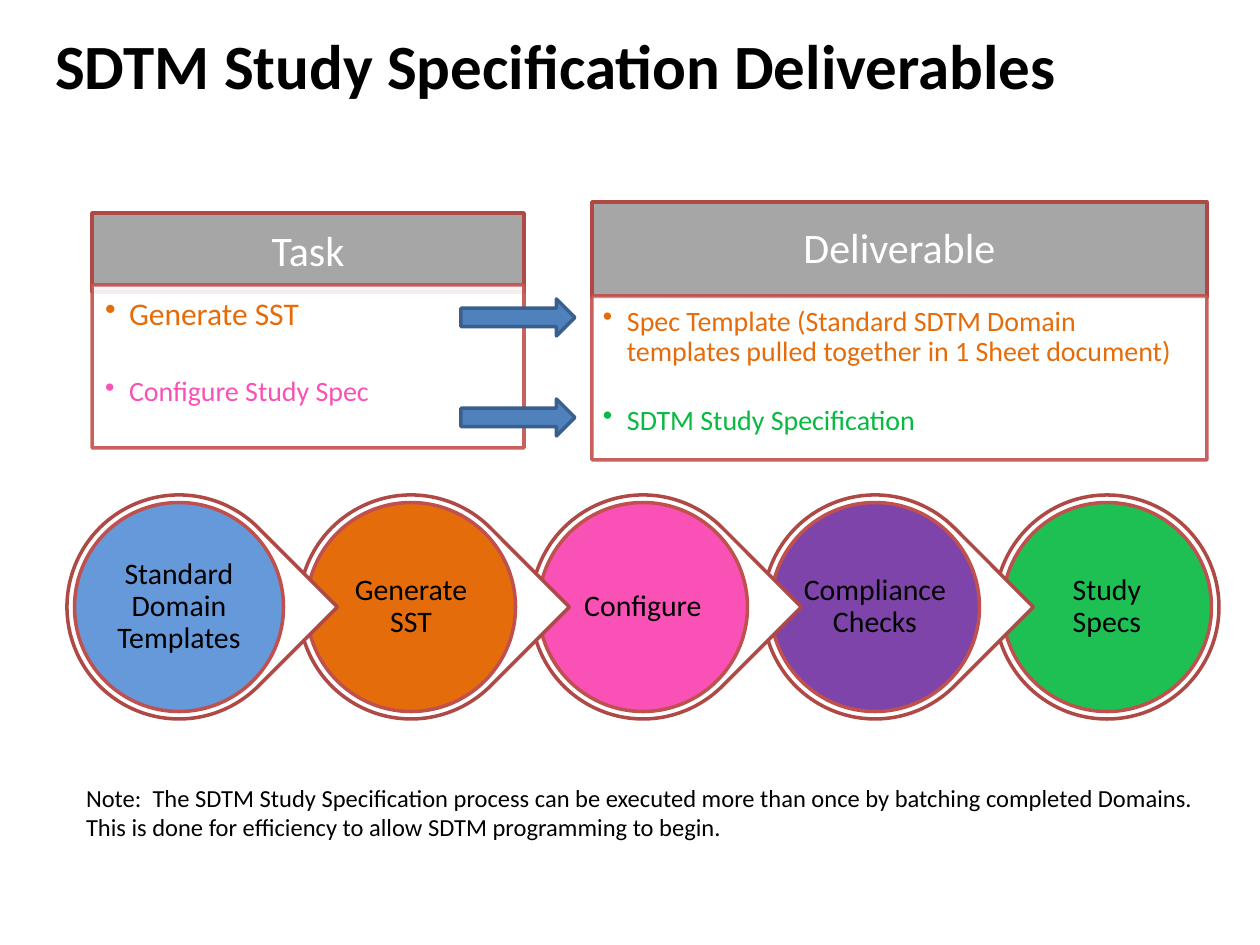
from dataclasses import dataclass

from lxml.etree import SubElement
from pptx import Presentation
from pptx.dml.color import RGBColor
from pptx.enum.shapes import MSO_SHAPE
from pptx.enum.text import MSO_ANCHOR, PP_ALIGN
from pptx.oxml.ns import qn
from pptx.util import Emu, Pt


@dataclass(frozen=True)
class Theme:
    font: str = "Calibri"
    black: str = "000000"
    white: str = "FFFFFF"
    header: str = "A6A6A6"
    frame: str = "AE4946"
    edge: str = "C0504D"
    arrow: str = "4F81BD"
    arrow_edge: str = "3A5F8C"
    blue: str = "558ED5"
    orange: str = "E46C0A"
    pink: str = "F951B5"
    purple: str = "7030A0"
    green: str = "06BA42"
    title_pt: int = 36
    header_pt: int = 24
    lead_pt: int = 18
    step_pt: int = 17
    item_pt: int = 16
    note_pt: int = 14
    line_pt: int = 2
    tight: float = 0.9


T = Theme()
EMU_PER_PX = 914400 / 126


def px(n):
    return Emu(round(n * EMU_PER_PX))


def set_alpha(fill, percent):
    color = fill._xPr.find(qn("a:solidFill"))[0]
    SubElement(color, qn("a:alpha")).set("val", str(percent * 1000))


def add_shape(s, kind, box, fill, line, alpha=100, line_alpha=100):
    sp = s.shapes.add_shape(kind, *map(px, box))
    sp.shadow.inherit = False
    sp.fill.solid()
    sp.fill.fore_color.rgb = RGBColor.from_string(fill)
    sp.line.color.rgb = RGBColor.from_string(line)
    sp.line.width = Pt(T.line_pt)
    if alpha < 100:
        set_alpha(sp.fill, alpha)
    if line_alpha < 100:
        set_alpha(sp.line.fill, line_alpha)
    return sp


def setup_frame(sp, insets, anchor=MSO_ANCHOR.TOP):
    """Set wrapping, anchor and the left, top, right and bottom insets."""
    tf = sp.text_frame
    tf.word_wrap = True
    tf.vertical_anchor = anchor
    tf.margin_left, tf.margin_top, tf.margin_right, tf.margin_bottom = map(px, insets)
    return tf


def write(p, text, size, color, align=PP_ALIGN.LEFT, bold=False, spacing=None):
    p.text = text
    p.alignment = align
    p.line_spacing = spacing
    for r in p.runs:
        r.font.name = T.font
        r.font.size = Pt(size)
        r.font.bold = bold
        r.font.color.rgb = RGBColor.from_string(color)


def add_bullet(p, indent):
    pPr = p._p.get_or_add_pPr()
    pPr.set("marL", str(px(indent)))
    pPr.set("indent", str(-px(indent)))
    SubElement(pPr, qn("a:buChar")).set("char", "•")


def add_text(s, box, lines, size, bold=False):
    tf = setup_frame(s.shapes.add_textbox(*map(px, box)), (13, 6, 13, 6))
    for i, line in enumerate(lines):
        p = tf.add_paragraph() if i else tf.paragraphs[0]
        write(p, line, size, T.black, bold=bold)


def add_panel(s, box, header_h, body_top, heading, items, insets, gap):
    """Place a headed box; items are (text, size, colour), gap in points apart."""
    x, y, w, h = box
    sp = add_shape(s, MSO_SHAPE.RECTANGLE, (x, y, w, header_h), T.header, T.frame)
    tf = setup_frame(sp, (24, 14, 24, 14), MSO_ANCHOR.MIDDLE)
    write(tf.paragraphs[0], heading, T.header_pt, T.white, PP_ALIGN.CENTER,
          spacing=T.tight)

    sp = add_shape(s, MSO_SHAPE.RECTANGLE, (x, y + body_top, w, h - body_top),
                   T.white, T.edge, alpha=90, line_alpha=90)
    tf = setup_frame(sp, insets)
    for i, (text, size, color) in enumerate(items):
        p = tf.add_paragraph() if i else tf.paragraphs[0]
        write(p, text, size, color, spacing=T.tight)
        if i:
            p.space_before = Pt(gap)
        add_bullet(p, 24)


def add_process(s, box, pitch, steps):
    """Chain steps of (text, colour, alpha), each pointing over the next one."""
    x, y, _, size = box
    rim = 7.5
    last = len(steps) - 1
    for i, (text, color, alpha) in reversed(list(enumerate(steps))):
        left = x + i * pitch
        kind = MSO_SHAPE.OVAL if i == last else MSO_SHAPE.TEAR
        outer = add_shape(s, kind, (left, y, size, size), T.white, T.frame)
        if i < last:
            outer.rotation = 45
        disc = (left + rim, y + rim, size - 2 * rim, size - 2 * rim)
        sp = add_shape(s, MSO_SHAPE.OVAL, disc, color, T.edge, alpha)
        tf = setup_frame(sp, (1, 1, 1, 1), MSO_ANCHOR.MIDDLE)
        write(tf.paragraphs[0], text, T.step_pt, T.black, PP_ALIGN.CENTER,
              spacing=T.tight)


def add_arrows(s, box, pitch, count):
    x, y, w, h = box
    for i in range(count):
        add_shape(s, MSO_SHAPE.RIGHT_ARROW, (x, y + i * pitch, w, h),
                  T.arrow, T.arrow_edge)


def main():
    prs = Presentation()
    prs.slide_width, prs.slide_height = px(1260), px(945)
    s = prs.slides.add_slide(prs.slide_layouts[6])

    add_text(s, (42, 21, 1218, 89), ["SDTM Study Specification Deliverables"],
             T.title_pt, bold=True)
    add_process(s, (67, 495, 1152, 224), 232, [
        ("Standard Domain Templates", T.blue, 90),
        ("Generate SST", T.orange, 100),
        ("Configure", T.pink, 100),
        ("Compliance Checks", T.purple, 90),
        ("Study\vSpecs", T.green, 90),
    ])
    add_panel(s, (92, 213, 432, 235), 79, 72, "Task", [
        ("Generate SST", T.lead_pt, T.orange),
        ("Configure Study Spec", T.item_pt, T.pink),
    ], (13, 13, 18, 20), 26)
    add_panel(s, (592, 202, 615, 258), 95, 94, "Deliverable", [
        ("Spec Template (Standard SDTM Domain templates pulled together "
         "in 1 Sheet document)", T.item_pt, T.orange),
        ("SDTM Study Specification", T.item_pt, T.green),
    ], (11, 11, 15, 18), 22)
    add_text(s, (73, 777, 1142, 72), [
        "Note:\u00a0 The SDTM Study Specification process can be executed more than "
        "once by batching completed Domains.".replace("\u00a0", " "),
        "This is done for efficiency to allow SDTM programming to begin.",
    ], T.note_pt)
    add_arrows(s, (461, 299, 114, 37), 100, 2)

    prs.save("out.pptx")


if __name__ == "__main__":
    main()
